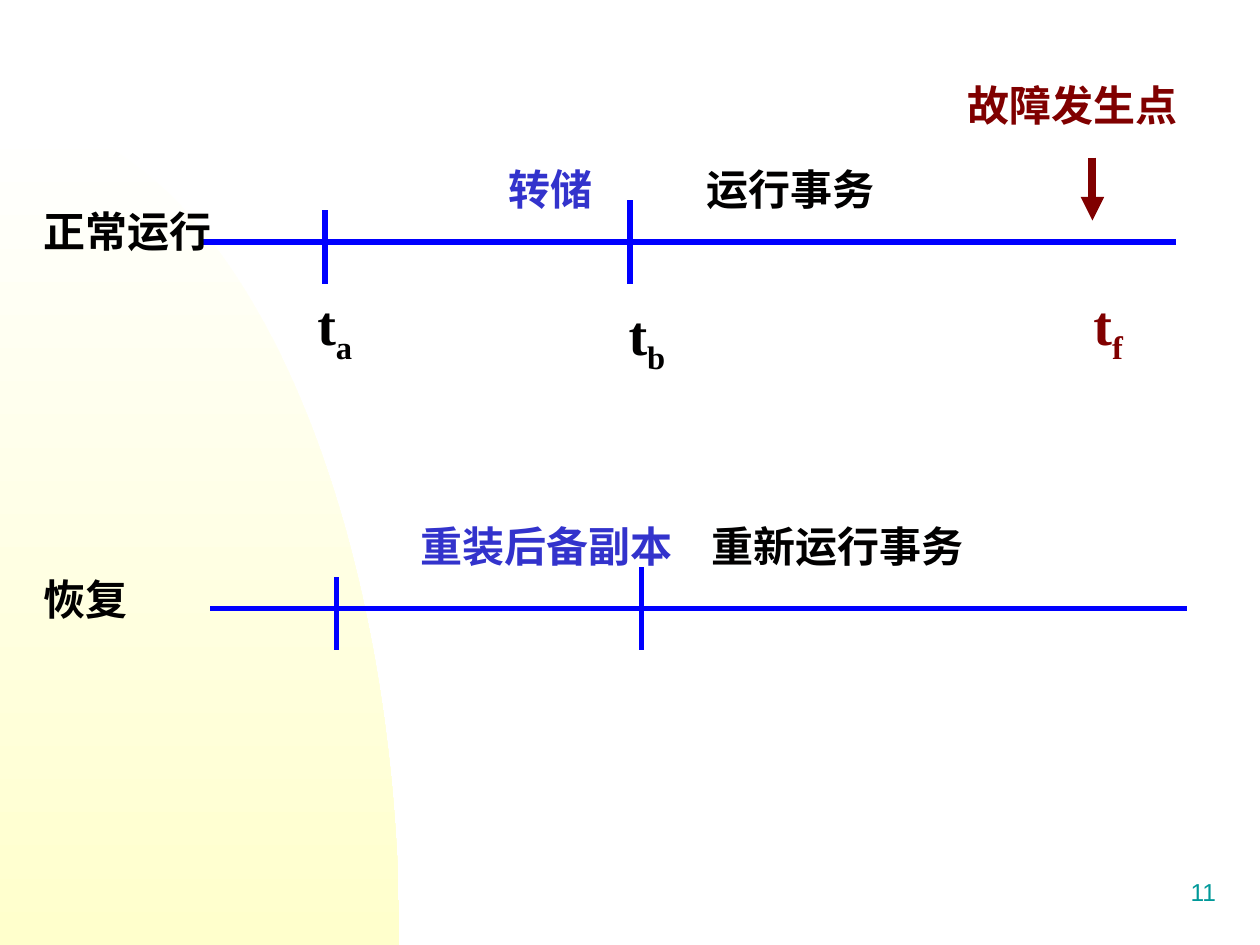
from dataclasses import dataclass
from math import cos, pi, sin

from lxml.etree import SubElement
from pptx import Presentation
from pptx.dml.color import RGBColor as RGB
from pptx.enum.shapes import MSO_CONNECTOR as CONNECTOR
from pptx.enum.text import MSO_ANCHOR as ANCHOR, PP_ALIGN as ALIGN
from pptx.oxml.ns import qn
from pptx.util import Inches, Pt


@dataclass(frozen=True)
class Theme:
    black: RGB = RGB(0x01, 0x00, 0x00)
    maroon: RGB = RGB(0x80, 0x00, 0x00)
    violet: RGB = RGB(0x33, 0x33, 0xCC)
    blue: RGB = RGB(0x00, 0x00, 0xFF)
    teal: RGB = RGB(0x00, 0x99, 0x99)
    white: RGB = RGB(0xFF, 0xFF, 0xFF)
    cream: RGB = RGB(0xFF, 0xFF, 0xCC)
    latin: str = "Times New Roman"
    chinese: str = "Noto Sans CJK SC"
    number_font: str = "Arial"
    label_size: Pt = Pt(24)
    time_size: Pt = Pt(32)
    number_size: Pt = Pt(14)
    axis_width: Pt = Pt(3)
    arrow_width: Pt = Pt(4.5)


theme = Theme()


def add_label(left, top, width, height, runs, size, color, font=theme.latin, bold=True):
    """Add a one-line text box; runs after the first are subscripts."""
    box = slide.shapes.add_textbox(Inches(left), Inches(top), Inches(width), Inches(height))
    frame = box.text_frame
    frame.word_wrap = True
    paragraph = frame.paragraphs[0]
    for index, text in enumerate(runs):
        run = paragraph.add_run()
        run.text = text
        run.font.name = font
        run.font.size = size
        run.font.bold = bold
        run.font.color.rgb = color
        properties = run.font._element
        SubElement(properties, qn("a:ea")).set("typeface", theme.chinese)
        if index:
            properties.set("baseline", "-25000")
    return frame


def add_line(shapes, start, end, color, width):
    line = shapes.add_connector(CONNECTOR.STRAIGHT, *map(Inches, start + end))
    line.line.color.rgb = color
    line.line.width = width
    SubElement(line._element.spPr, qn("a:effectLst"))
    return line


deck = Presentation()
deck.slide_width, deck.slide_height = Inches(10), Inches(7.5)
slide = deck.slides.add_slide(deck.slide_layouts[6])

# Quarter ellipse in the lower left corner
radius_x, radius_y, steps = 3.17, 6.58, 90
arc = [
    (Inches(radius_x * sin(i * pi / 2 / steps)), Inches(7.5 - radius_y * cos(i * pi / 2 / steps)))
    for i in range(steps + 1)
]
builder = slide.shapes.build_freeform(*arc[0])
builder.add_line_segments(arc[1:] + [(0, Inches(7.5))], close=True)
glow = builder.convert_to_shape()
glow.shadow.inherit = False
glow.line.fill.background()
glow.fill.gradient()
glow.fill.gradient_angle = 270
for stop, color in zip(glow.fill.gradient_stops, (theme.white, theme.cream)):
    stop.color.rgb = color

# Timelines: normal running above, recovery below
for x, y in ((1.58, 1.92), (1.67, 4.83)):
    timeline = slide.shapes.add_group_shape().shapes
    for start, end in (
        ((x, y), (x + 7.75, y)),
        ((x + 1, y - 0.25), (x + 1, y + 0.33)),
        ((x + 3.42, y - 0.33), (x + 3.42, y + 0.33)),
    ):
        add_line(timeline, start, end, theme.blue, theme.axis_width)

failure_arrow = add_line(slide.shapes, (8.67, 1.25), (8.67, 1.75), theme.maroon, theme.arrow_width)
SubElement(failure_arrow.line._get_or_add_ln(), qn("a:tailEnd")).set("type", "triangle")

for text, left, top, width, color in (
    ("正常运行", 0.25, 1.58, 2, theme.black),
    ("转储", 3.94, 1.25, 1.2, theme.violet),
    ("运行事务", 5.51, 1.25, 1.91, theme.black),
    ("故障发生点", 7.58, 0.58, 2, theme.maroon),
    ("恢复", 0.25, 4.5, 2, theme.black),
    ("重装后备副本", 3.24, 4.08, 2.3, theme.violet),
    ("重新运行事务", 5.55, 4.08, 2.57, theme.black),
):
    add_label(left, top, width, 0.5, [text], theme.label_size, color)

for subscript, left, top, color in (
    ("a", 2.42, 2.25, theme.black),
    ("b", 4.89, 2.33, theme.black),
    ("f", 8.58, 2.25, theme.maroon),
):
    add_label(left, top, 0.83, 0.71, ["t", subscript], theme.time_size, color)

page_number = add_label(7.67, 6.83, 2.08, 0.5, ["11"], theme.number_size, theme.teal,
                        theme.number_font, bold=False)
page_number.vertical_anchor = ANCHOR.MIDDLE
page_number.paragraphs[0].alignment = ALIGN.RIGHT

deck.save("out.pptx")
